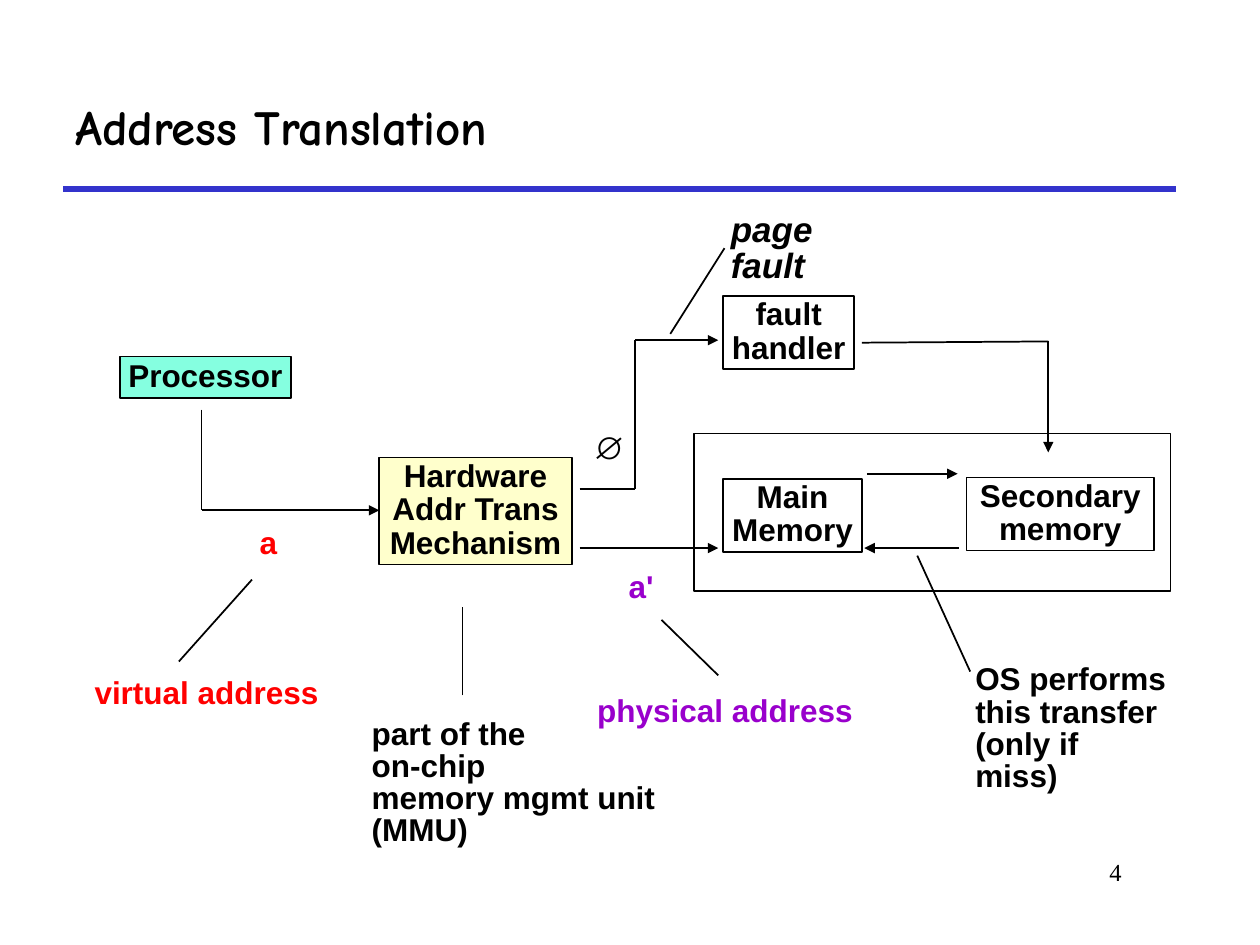
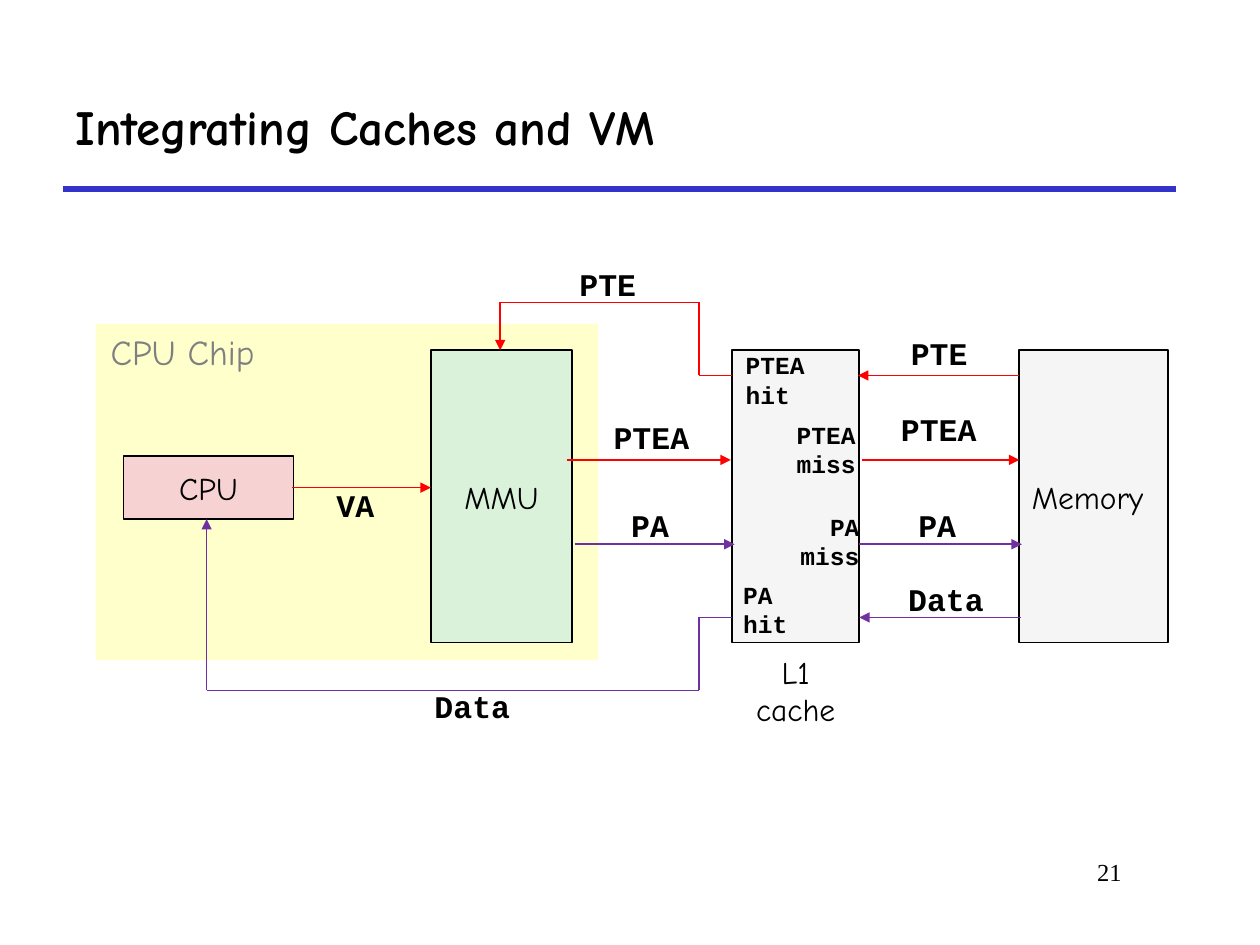
import pptx
import pptx.util
import pptx.dml.color
import pptx.enum.shapes
import pptx.enum.text
import pptx.oxml
import pptx.oxml.ns
from pptx.util import Inches

COLORS = {
    "black": "000000", "rule": "3333CC", "red": "FF0000", "violet": "9900CC",
    "purple": "7030A0", "gray": "7F7F7F", "cream": "FFFFCC", "aqua": "85FFE0",
    "pink": "F6D2D2", "mint": "DBF2DA", "silver": "F5F5F5",
}
SANS, COMIC, MONO, SERIF = "Arial", "Comic Neue", "Courier New", "Times New Roman"
ALIGN = {
    "left": pptx.enum.text.PP_ALIGN.LEFT,
    "center": pptx.enum.text.PP_ALIGN.CENTER,
    "right": pptx.enum.text.PP_ALIGN.RIGHT,
}
WIDE_INSETS, TIGHT_INSETS = (0.1, 0.05), (0.07, 0.03)


def rgb(name):
    return pptx.dml.color.RGBColor.from_string(COLORS[name])


def write(shape, text, font, size, color="black", bold=False, italic=False,
          align="left", spacing=None, insets=WIDE_INSETS, middle=True, wrap=False):
    """Fill a shape with text, one paragraph for each line."""
    frame = shape.text_frame
    frame.word_wrap = wrap
    frame.margin_left = frame.margin_right = Inches(insets[0])
    frame.margin_top = frame.margin_bottom = Inches(insets[1])
    anchors = pptx.enum.text.MSO_ANCHOR
    frame.vertical_anchor = anchors.MIDDLE if middle else anchors.TOP
    frame.text = text
    for para in frame.paragraphs:
        para.alignment = ALIGN[align]
        if spacing:
            para.line_spacing = spacing
        para.font.name, para.font.size = font, pptx.util.Pt(size)
        para.font.bold, para.font.italic = bold, italic
        para.font.color.rgb = rgb(color)


def add_text(page, bounds, text, font, size, **style):
    box = page.shapes.add_textbox(*map(Inches, bounds))
    write(box, text, font, size, **style)


def add_box(page, bounds, fill=None, outlined=True):
    box = page.shapes.add_shape(
        pptx.enum.shapes.MSO_SHAPE.RECTANGLE, *map(Inches, bounds))
    box.shadow.inherit = False
    if fill:
        box.fill.solid()
        box.fill.fore_color.rgb = rgb(fill)
    else:
        box.fill.background()
    if outlined:
        box.line.color.rgb = rgb("black")
        box.line.width = pptx.util.Pt(1)
    else:
        box.line.fill.background()
    return box


def add_route(page, points, color="black", width=1, arrow=True):
    """Join the points with straight lines; the last may carry an arrowhead."""
    for start, end in zip(points, points[1:]):
        line = page.shapes.add_connector(
            pptx.enum.shapes.MSO_CONNECTOR.STRAIGHT, *map(Inches, start + end))
        line.line.color.rgb = rgb(color)
        line.line.width = pptx.util.Pt(width)
        properties = line._element.spPr
        properties.append(pptx.oxml.parse_xml(
            f"<a:effectLst {pptx.oxml.ns.nsdecls('a')}/>"))
    if arrow:
        line.line._get_or_add_ln().append(pptx.oxml.parse_xml(
            f"<a:tailEnd {pptx.oxml.ns.nsdecls('a')} type='triangle'/>"))


def add_page(deck, title, number):
    """Start a slide with the shared title, rule and page number."""
    page = deck.slides.add_slide(deck.slide_layouts[6])
    add_route(page, [(0.5, 1.5), (9.33, 1.5)], "rule", 3, arrow=False)
    add_text(page, (0.5, 0.5, 8.83, 1), title, COMIC, 28, bold=True, wrap=True)
    add_text(page, (7.58, 6.75, 1.42, 0.5), number, SERIF, 14,
             align="right", middle=False, wrap=True)
    return page


def add_label(page, bounds, text, font=SANS, size=18, **style):
    """Bold label with tight line spacing, set from the top."""
    add_text(page, bounds, text, font, size, bold=True, spacing=0.85,
             insets=TIGHT_INSETS, middle=False, **style)


def build_address_translation(deck):
    page = add_page(deck, "Address Translation", "4")

    # Hardware and memory blocks
    add_box(page, (5.51, 3.44, 3.78, 1.25))
    blocks = [
        ((0.95, 2.83, 1.36, 0.33), "Processor", "aqua", 0.92, False),
        ((3.01, 3.63, 1.53, 0.85), "Hardware\nAddr Trans\nMechanism", "cream", 0.88, False),
        ((5.74, 2.35, 1.04, 0.58), "fault\nhandler", None, 0.88, False),
        ((5.74, 3.8, 1.1, 0.58), "Main\nMemory", None, 0.88, False),
        ((7.67, 3.79, 1.49, 0.58), "Secondary memory", None, 0.88, True),
    ]
    for bounds, text, fill, spacing, wrap in blocks:
        write(add_box(page, bounds, fill), text, SANS, 18, bold=True, align="center",
              spacing=spacing, insets=TIGHT_INSETS, wrap=wrap)

    # Flow of addresses, faults and transfers
    flows = [
        [(1.6, 3.25), (1.6, 4.05), (3.01, 4.05)],
        [(4.6, 3.88), (5.04, 3.88), (5.04, 2.7), (5.7, 2.7)],
        [(4.6, 4.35), (5.7, 4.35)],
        [(6.84, 2.72), (8.32, 2.71), (8.32, 3.59)],
        [(6.88, 3.76), (7.6, 3.76)],
        [(7.61, 4.35), (6.86, 4.35)],
    ]
    for points in flows:
        add_route(page, points)

    # Lines that lead to the remarks
    leaders = [
        ((5.75, 1.97), (5.32, 2.65)),
        ((5.7, 5.36), (5.25, 4.92)),
        ((7.28, 4.41), (7.7, 5.33)),
        ((1.42, 5.25), (2, 4.6)),
    ]
    for points in leaders:
        add_route(page, points, arrow=False)
    add_route(page, [(3.67, 5.52), (3.67, 4.82)], width=0.75, arrow=False)

    # Remarks
    remarks = [
        ((1.99, 4.17, 0.28, 0.31), "a", "red"),
        ((0.68, 5.36, 1.92, 0.31), "virtual address", "red"),
        ((4.92, 4.52, 0.34, 0.31), "a'", "violet"),
        ((4.67, 5.5, 2.17, 0.31), "physical address", "violet"),
        ((4.64, 3.41, 0.34, 0.31), "∅", "black"),
        ((7.67, 5.25, 1.68, 0.82), "OS performs\nthis transfer\n(only if miss)", "black"),
        ((2.88, 5.68, 3.22, 0.82), "part of the\non-chip\nmemory mgmt unit (MMU)", "black"),
    ]
    for bounds, text, color in remarks:
        add_label(page, bounds, text, color=color)
    add_label(page, (5.73, 1.67, 1.45, 0.34), "page fault", size=20, italic=True)


def build_caches_and_vm(deck):
    page = add_page(deck, "Integrating Caches and VM", "21")

    # Chip, its units, cache and memory
    add_box(page, (0.76, 2.57, 3.99, 2.67), "cream", outlined=False)
    unit_top, unit_height = 2.78, 2.32
    units = [
        ((0.98, 3.62, 1.35, 0.5), "CPU", "pink", "center"),
        ((3.42, unit_top, 1.12, unit_height), "MMU", "mint", "center"),
        ((8.09, unit_top, 1.18, unit_height), "Memory", "silver", "left"),
    ]
    for bounds, text, fill, align in units:
        write(add_box(page, bounds, fill), text, COMIC, 18, align=align)
    add_box(page, (5.81, unit_top, 1.01, unit_height), "silver")
    add_text(page, (5.9, 5.13, 0.83, 0.7), "L1\ncache", COMIC, 18, align="center")
    add_text(page, (0.78, 2.57, 1.34, 0.44), "CPU Chip", COMIC, 20,
             color="gray", middle=False)

    # Translation in red, data access in purple
    pte_y, ptea_y, pa_y, data_y = 2.98, 3.65, 4.32, 4.9
    bend_x = 5.55
    routes = {
        "red": [
            [(2.32, 3.87), (3.42, 3.87)],
            [(4.5, ptea_y), (5.8, ptea_y)],
            [(6.84, ptea_y), (8.09, ptea_y)],
            [(8.09, pte_y), (6.81, pte_y)],
            [(5.81, pte_y), (bend_x, pte_y), (bend_x, 2.4), (3.97, 2.4), (3.97, 2.78)],
        ],
        "purple": [
            [(4.56, pa_y), (5.83, pa_y)],
            [(6.82, pa_y), (8.11, pa_y)],
            [(8.1, data_y), (6.82, data_y)],
            [(5.81, data_y), (bend_x, data_y), (bend_x, 5.48), (1.64, 5.48), (1.64, 4.12)],
        ],
    }
    for color, paths in routes.items():
        for points in paths:
            add_route(page, points, color)

    # Names of the messages
    for left, top, width, text in [
        (2.6, 3.87, 0.44, "VA"), (4.8, 3.33, 0.74, "PTEA"),
        (4.94, 4.03, 0.44, "PA"), (7.08, 3.27, 0.74, "PTEA"),
    ]:
        add_label(page, (left, top, width, 0.31), text, MONO)
    for left, top, width, text in [
        (4.5, 2.05, 0.65, "PTE"), (3.35, 5.4, 0.8, "Data"), (7.19, 3.97, 0.5, "PA"),
        (7.11, 4.55, 0.8, "Data"), (7.13, 2.6, 0.65, "PTE"),
    ]:
        add_text(page, (left, top, width, 0.4), text, MONO, 18, bold=True)

    # Cache outcomes
    for left, top, width, text, align in [
        (5.82, 2.73, 0.78, "PTEA\nhit", "left"), (6.22, 3.28, 0.67, "PTEA\nmiss", "right"),
        (6.25, 4.01, 0.67, "PA\nmiss", "right"), (5.8, 4.55, 0.55, "PA\nhit", "left"),
    ]:
        add_text(page, (left, top, width, 0.57), text, MONO, 14, bold=True, align=align)


def main():
    deck = pptx.Presentation()
    deck.slide_width, deck.slide_height = Inches(10), Inches(7.5)
    build_address_translation(deck)
    build_caches_and_vm(deck)
    deck.save("out.pptx")


if __name__ == "__main__":
    main()
